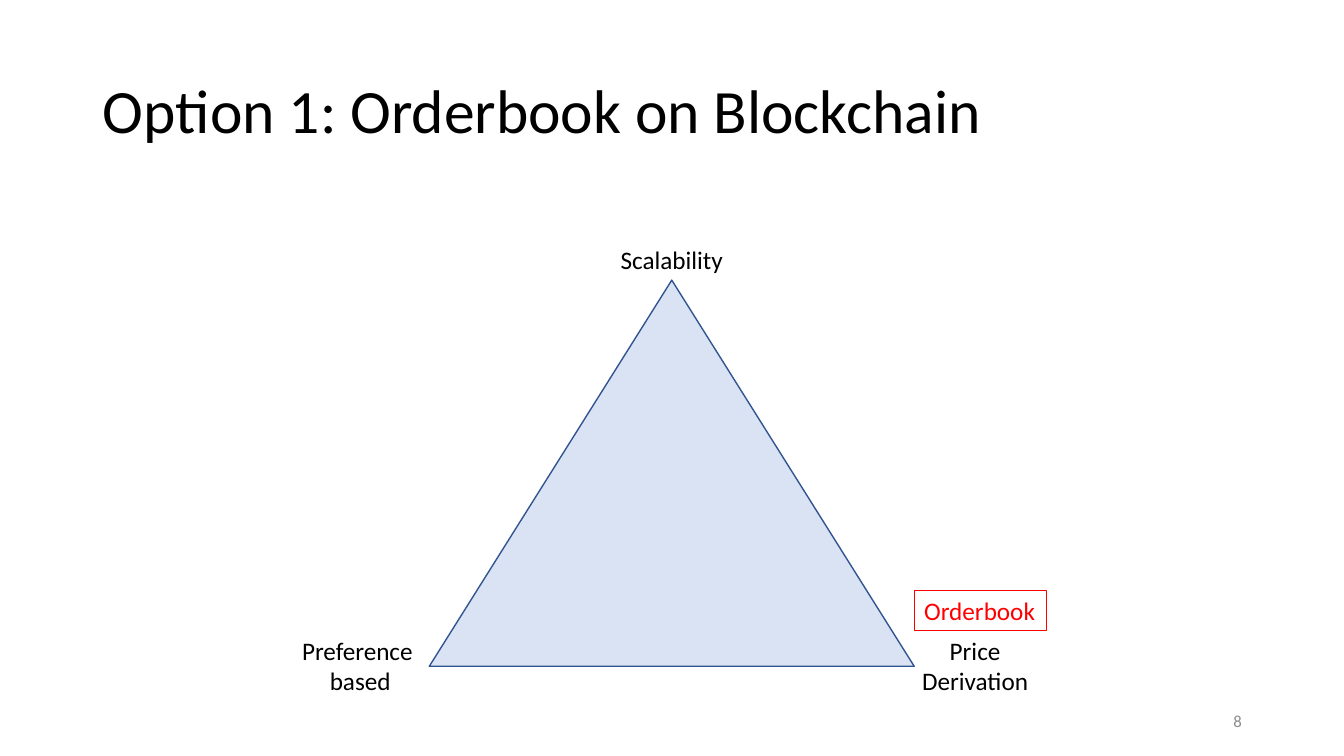
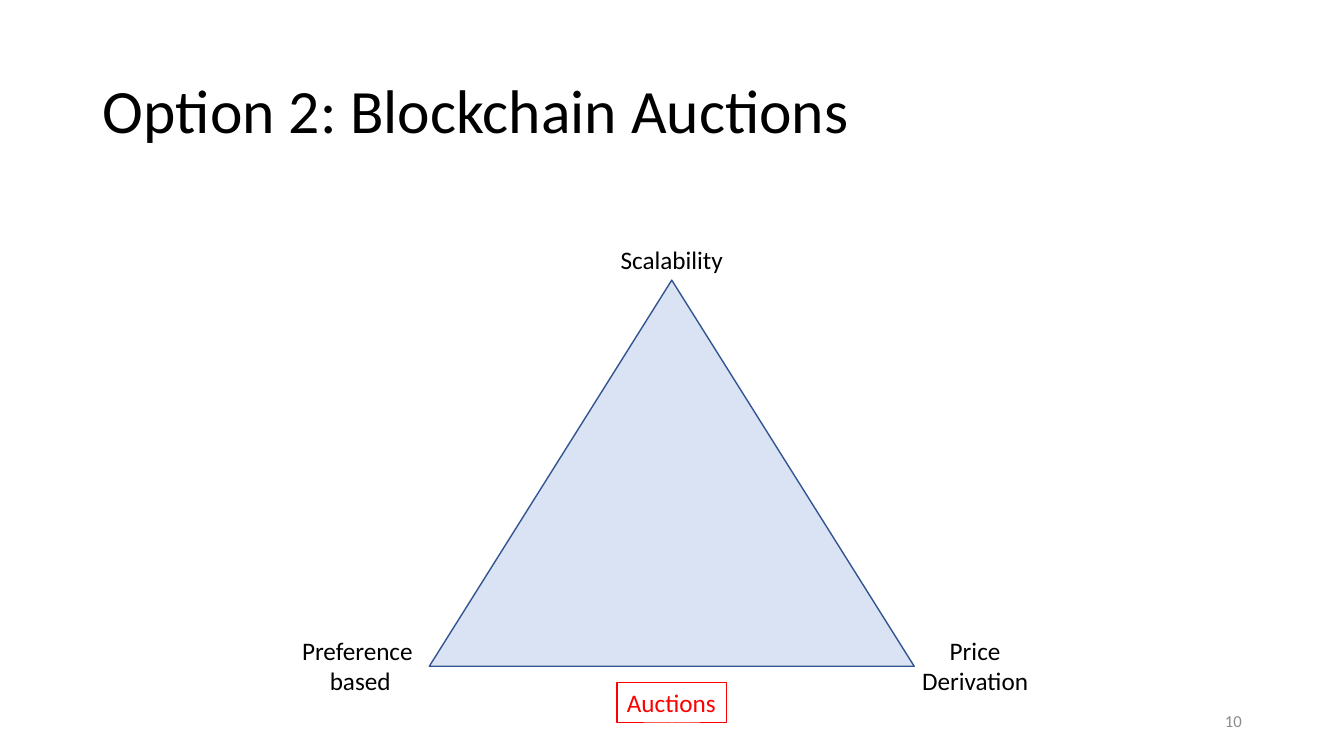
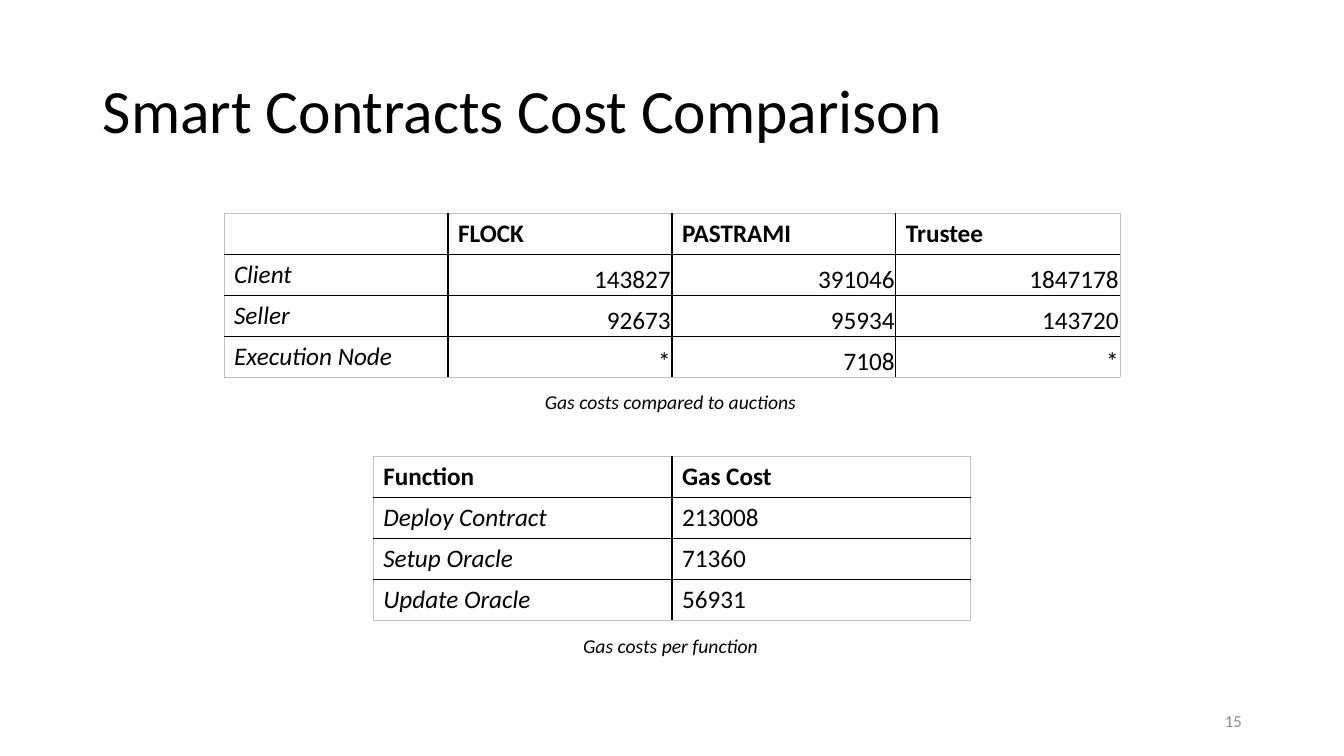
from collections import namedtuple

from lxml import etree
from pptx import Presentation
from pptx import util as u
from pptx.dml import color
from pptx.enum import shapes, text
from pptx.oxml import ns

Box = namedtuple("Box", "left top width height")

FONT = "Calibri"
COLORS = {
    "text": "000000",
    "number": "8C8C8C",
    "triangle": "DAE3F3",
    "triangle_line": "325491",
    "highlight": "FF0000",
    "table_line": "000000",
    "table_edge": "BFBFBF",
}
SLIDE = Box(0, 0, 33.87, 19.05)
TITLE = Box(2.34, 1.02, 29.21, 3.68)
NUMBER = Box(23.93, 17.65, 7.62, 1.02)
TRIANGLE = Box(10.82, 7.06, 12.22, 9.73)
LINE_HEIGHT, PAIR_HEIGHT = 1.02, 1.8
ROW_HEIGHT = 1.03
CAPTION_GAP = 0.21


def rgb(name):
    """Return the named colour."""
    return color.RGBColor.from_string(COLORS[name])


def lengths(box):
    """Turn a box in centimetres into four lengths."""
    return [u.Cm(value) for value in box]


def style(paragraph, size, color_name="text", align=text.PP_ALIGN.LEFT,
          bold=False, italic=False):
    """Format one paragraph."""
    paragraph.alignment = align
    font = paragraph.font
    font.name, font.size = FONT, u.Pt(size)
    font.bold, font.italic = bold, italic
    font.color.rgb = rgb(color_name)


def add_text(slide, box, lines, size=18, wrap=False, **options):
    """Add a text box with one paragraph per line."""
    shape = slide.shapes.add_textbox(*lengths(box))
    frame = shape.text_frame
    frame.word_wrap = wrap
    frame.text = lines
    for paragraph in frame.paragraphs:
        style(paragraph, size, **options)
    return shape


def add_slide(presentation, title, number):
    """Add a slide with its title and slide number."""
    slide = presentation.slides.add_slide(presentation.slide_layouts[5])
    shape = slide.shapes.title
    shape.left, shape.top, shape.width, shape.height = lengths(TITLE)
    frame = shape.text_frame
    frame.text = title
    frame.vertical_anchor = text.MSO_ANCHOR.MIDDLE
    frame.paragraphs[0].line_spacing = 0.9
    style(frame.paragraphs[0], 44)
    footer = add_text(slide, NUMBER, str(number), 12, wrap=True,
                      color_name="number", align=text.PP_ALIGN.RIGHT)
    footer.text_frame.vertical_anchor = text.MSO_ANCHOR.MIDDLE
    return slide


def add_trilemma(slide, box):
    """Draw the triangle in the box and label its corners."""
    triangle = slide.shapes.add_shape(
        shapes.MSO_SHAPE.ISOSCELES_TRIANGLE, *lengths(box))
    triangle.shadow.inherit = False
    triangle.fill.solid()
    triangle.fill.fore_color.rgb = rgb("triangle")
    triangle.line.color.rgb = rgb("triangle_line")
    triangle.line.width = u.Pt(1)

    middle, right = box.left + box.width / 2, box.left + box.width
    pair_top = box.top + box.height - PAIR_HEIGHT / 2
    corners = [
        ("Scalability", Box(middle - 1.56, box.top - LINE_HEIGHT, 3.12, LINE_HEIGHT)),
        ("Price\nDerivation", Box(right - 0.08, pair_top, 3.23, PAIR_HEIGHT)),
        ("Preference \nbased", Box(box.left - 3.48, pair_top, 3.48, PAIR_HEIGHT)),
    ]
    for label, place in corners:
        add_text(slide, place, label, align=text.PP_ALIGN.CENTER)


def add_option(slide, box, label):
    """Add the outlined label of the option under discussion."""
    shape = add_text(slide, box, label, color_name="highlight")
    shape.line.color.rgb = rgb("highlight")
    shape.line.width = u.Pt(0.75)


def set_borders(cell, outer_sides):
    """Draw the cell borders, paler on the sides at the table's edge."""
    properties = cell._tc.get_or_add_tcPr()
    for side in "LRTB":
        outer = side in outer_sides
        line = etree.SubElement(properties, ns.qn("a:ln" + side),
                                w=str(u.Pt(0.5 if outer else 1)))
        fill = etree.SubElement(line, ns.qn("a:solidFill"))
        etree.SubElement(fill, ns.qn("a:srgbClr"),
                         val=COLORS["table_edge" if outer else "table_line"])


def add_cost_table(slide, box, rows, caption, caption_width, numbers_right=False):
    """Fill the box with a table and centre a caption below it."""
    last_row, last_column = len(rows) - 1, len(rows[0]) - 1
    table = slide.shapes.add_table(
        last_row + 1, last_column + 1, *lengths(box)).table
    table.first_row = table.horz_banding = False
    for r, row in enumerate(rows):
        for c, value in enumerate(row):
            cell = table.cell(r, c)
            edges = [("L", c == 0), ("R", c == last_column),
                     ("T", r == 0), ("B", r == last_row)]
            set_borders(cell, [side for side, outer in edges if outer])
            cell.fill.background()
            cell.text = value
            align = text.PP_ALIGN.LEFT
            if numbers_right and r and c:
                align = text.PP_ALIGN.RIGHT
                cell.vertical_anchor = text.MSO_ANCHOR.BOTTOM
                cell.margin_left = cell.margin_right = cell.margin_top = u.Cm(0.03)
                cell.margin_bottom = 0
            style(cell.text_frame.paragraphs[0], 18, align=align,
                  bold=r == 0, italic=r > 0 and c == 0)
    place = Box(box.left + (box.width - caption_width) / 2,
                box.top + box.height + CAPTION_GAP, caption_width, 0.86)
    add_text(slide, place, caption, 14, italic=True)


def centred(top, width, height):
    """Return a box centred across the slide."""
    return Box((SLIDE.width - width) / 2, top, width, height)


presentation = Presentation()
presentation.slide_width = u.Cm(SLIDE.width)
presentation.slide_height = u.Cm(SLIDE.height)

base = TRIANGLE.top + TRIANGLE.height
options = [
    ("Option 1: Orderbook on Blockchain", 8, "Orderbook",
     Box(TRIANGLE.left + TRIANGLE.width, base - 1.91, 3.33, LINE_HEIGHT)),
    ("Option 2: Blockchain Auctions", 10, "Auctions",
     centred(base + 0.41, 2.77, LINE_HEIGHT)),
]
for title, number, label, place in options:
    slide = add_slide(presentation, title, number)
    add_trilemma(slide, TRIANGLE)
    add_option(slide, place, label)

auction_costs = [
    ["", "FLOCK", "PASTRAMI", "Trustee"],
    ["Client", "143827", "391046", "1847178"],
    ["Seller", "92673", "95934", "143720"],
    ["Execution Node", "*", "7108", "*"],
]
function_costs = [
    ["Function", "Gas Cost"],
    ["Deploy Contract", "213008"],
    ["Setup Oracle", "71360"],
    ["Update Oracle", "56931"],
]
slide = add_slide(presentation, "Smart Contracts Cost Comparison", 15)
add_cost_table(slide, centred(5.38, 22.58, ROW_HEIGHT * len(auction_costs)),
               auction_costs, "Gas costs compared to auctions", 6.91,
               numbers_right=True)
add_cost_table(slide, centred(11.51, 15.06, ROW_HEIGHT * len(function_costs)),
               function_costs, "Gas costs per function", 4.98)

presentation.save("out.pptx")
